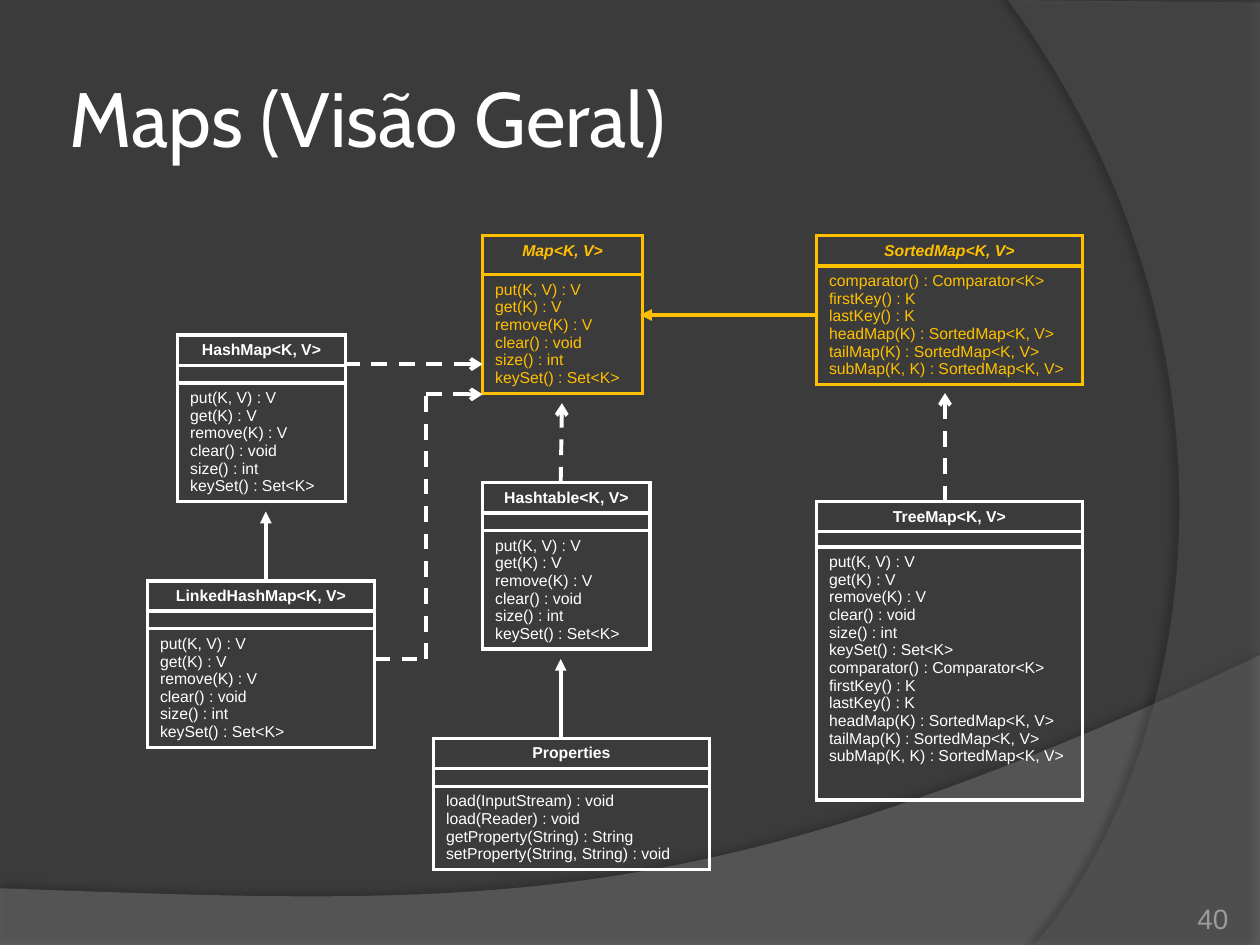
"""Builds the class diagram slide that gives an overview of Java maps."""
from dataclasses import dataclass

from lxml import etree
from pptx import Presentation
from pptx.dml.color import RGBColor
from pptx.enum.dml import MSO_LINE
from pptx.enum.shapes import MSO_CONNECTOR
from pptx.enum.text import MSO_ANCHOR, MSO_AUTO_SIZE, PP_ALIGN
from pptx.oxml.ns import qn
from pptx.util import Inches, Pt

DASH = MSO_LINE.DASH
STRAIGHT = MSO_CONNECTOR.STRAIGHT
MIDDLE, BOTTOM = MSO_ANCHOR.MIDDLE, MSO_ANCHOR.BOTTOM
LEFT, CENTER, RIGHT = PP_ALIGN.LEFT, PP_ALIGN.CENTER, PP_ALIGN.RIGHT
NO_AUTOFIT = MSO_AUTO_SIZE.NONE


@dataclass(frozen=True)
class Theme:
    """Colours, fonts and sizes of the slide."""
    background: str = "3B3B3B"
    wave: str = "7F7F7F"
    arc: str = "5E5E5E"
    shadow: str = "000000"
    text: str = "FFFFFF"
    accent: str = "FFC000"
    muted: str = "9D9B9A"
    title_font: str = "Cabin"
    body_font: str = "Arial"
    title_size: float = 44
    number_size: float = 16
    class_size: float = 9
    line_width: float = 2.25


def add_element(parent, tag, **attributes):
    """Append a drawing element with the given attributes."""
    values = {name: str(value) for name, value in attributes.items()}
    return etree.SubElement(parent, qn(tag), values)


def curve_points(start, first, second, end, steps=60):
    """Return points along a cubic curve."""
    points = []
    for step in range(steps + 1):
        t = step / steps
        weights = ((1 - t) ** 3, 3 * t * (1 - t) ** 2, 3 * t * t * (1 - t), t ** 3)
        points.append(tuple(
            sum(weight * point[axis] for weight, point in zip(weights, (start, first, second, end)))
            for axis in (0, 1)))
    return points


class DiagramSlide:
    """Draws styled elements on one slide."""

    def __init__(self, presentation, theme):
        self.theme = theme
        self.slide = presentation.slides.add_slide(presentation.slide_layouts[5])
        self.shapes = self.slide.shapes
        fill = self.slide.background.fill
        fill.solid()
        fill.fore_color.rgb = RGBColor.from_string(theme.background)

    def add_text(self, paragraph, text, color, alignment=LEFT, **formats):
        """Put one formatted run in a paragraph."""
        paragraph.alignment = alignment
        run = paragraph.add_run()
        run.text = text
        run.font.color.rgb = RGBColor.from_string(color)
        for name, value in formats.items():
            setattr(run.font, name, value)

    def frame(self, shape, anchor, margin):
        """Set up the text frame of a shape and return its first paragraph."""
        settings = {"word_wrap": True, "auto_size": NO_AUTOFIT, "vertical_anchor": anchor}
        for side in ("left", "top", "right", "bottom"):
            settings[f"margin_{side}"] = Inches(margin)
        for name, value in settings.items():
            setattr(shape.text_frame, name, value)
        return shape.text_frame.paragraphs[0]

    def backdrop(self, points, color, opacity, shadow_opacity, distance, direction):
        """Draw a translucent area with a soft shadow."""
        corners = [(Inches(x), Inches(y)) for x, y in points]
        builder = self.shapes.build_freeform(*corners[0])
        builder.add_line_segments(corners[1:], close=True)
        shape = builder.convert_to_shape()
        shape.fill.solid()
        shape.fill.fore_color.rgb = RGBColor.from_string(color)
        shape.line.fill.background()
        properties = shape._element.spPr
        solid_color = properties.find(qn("a:solidFill"))[0]
        add_element(solid_color, "a:alpha", val=opacity * 1000)
        effects = add_element(properties, "a:effectLst")
        shadow = add_element(effects, "a:outerShdw", blurRad=Pt(4), dist=Pt(distance),
                             dir=direction * 60000, algn="ctr", rotWithShape=0)
        shadow_color = add_element(shadow, "a:srgbClr", val=self.theme.shadow)
        add_element(shadow_color, "a:alpha", val=shadow_opacity * 1000)

    def title(self, text, left, top, width, height):
        """Fill the title placeholder and bring it in front of the backdrop."""
        title = self.shapes.title
        bounds = {"left": left, "top": top, "width": width, "height": height}
        for name, value in bounds.items():
            setattr(title, name, Inches(value))
        self.add_text(self.frame(title, MIDDLE, 0.05), text, self.theme.text,
                      name=self.theme.title_font, size=Pt(self.theme.title_size))
        self.shapes._spTree.append(title._element)

    def page_number(self, text, *bounds):
        """Add the page number."""
        box = self.shapes.add_textbox(*map(Inches, bounds))
        self.add_text(self.frame(box, BOTTOM, 0), text, self.theme.muted, RIGHT,
                      name=self.theme.body_font, size=Pt(self.theme.number_size))

    def borders(self, cell, color):
        """Outline a table cell on all four sides."""
        properties = cell._tc.get_or_add_tcPr()
        for side in ("L", "R", "T", "B"):
            line = add_element(properties, f"a:ln{side}", w=Pt(self.theme.line_width))
            add_element(add_element(line, "a:solidFill"), "a:srgbClr", val=color)
        cell.fill.background()

    def class_box(self, name, methods, left, top, width, heights, interface=False):
        """Draw a class as a table of name, fields and methods."""
        color = self.theme.accent if interface else self.theme.text
        graphic = self.shapes.add_table(len(heights), 1, Inches(left), Inches(top),
                                        Inches(width), Inches(sum(heights)))
        table = graphic.table
        table.first_row = table.horz_banding = False
        formats = {"name": self.theme.body_font, "size": Pt(self.theme.class_size)}
        last = len(heights) - 1
        for index, height in enumerate(heights):
            table.rows[index].height = Inches(height)
            cell = table.cell(index, 0)
            self.borders(cell, color)
            paragraph = cell.text_frame.paragraphs[0]
            if index == 0:
                self.add_text(paragraph, name, color, CENTER, bold=True, italic=interface,
                              **formats)
            elif index < last:
                add_element(paragraph._p, "a:endParaRPr", sz=100)
            else:
                for number, method in enumerate(methods):
                    line = cell.text_frame.add_paragraph() if number else paragraph
                    self.add_text(line, method, color, bold=False, italic=False, **formats)

    def relation(self, start, end, head=None, dashed=False, color=None):
        """Draw a line between classes, with an arrowhead at its end."""
        connector = self.shapes.add_connector(STRAIGHT, *map(Inches, start + end))
        connector.line.color.rgb = RGBColor.from_string(color or self.theme.text)
        connector.line.width = Pt(self.theme.line_width)
        if dashed:
            connector.line.dash_style = DASH
        if head:
            add_element(connector.line._get_or_add_ln(), "a:tailEnd", type=head)
        add_element(connector._element.spPr, "a:effectLst")


def main():
    """Build and save the slide."""
    presentation = Presentation()
    presentation.slide_width, presentation.slide_height = Inches(10), Inches(7.5)
    theme = Theme()
    diagram = DiagramSlide(presentation, theme)

    wave = [(0, 7.51), (10, 7.51)] + curve_points((10, 5.2), (5.59, 7.29), (3.91, 7.19), (0, 7.05))
    arc = [(10, 0.02), (10, 7.5)] + curve_points((8.21, 7.5), (9.35, 6.19), (10.18, 3), (8, 0))
    diagram.backdrop(wave, theme.wave, 45, 35, 3.5, 270)
    diagram.backdrop(arc, theme.arc, 40, 45, 4, 180)
    diagram.title("Maps (Visão Geral)", 0.5, 0.3, 8.17, 1.25)
    diagram.page_number("40", 8.92, 7.02, 0.83, 0.4)

    map_methods = ["put(K, V) : V", "get(K) : V", "remove(K) : V", "clear() : void",
                   "size() : int", "keySet() : Set<K>"]
    sorted_methods = ["comparator() : Comparator<K>", "firstKey() : K", "lastKey() : K",
                      "headMap(K) : SortedMap<K, V>", "tailMap(K) : SortedMap<K, V>",
                      "subMap(K, K) : SortedMap<K, V>"]
    property_methods = ["load(InputStream) : void", "load(Reader) : void",
                        "getProperty(String) : String", "setProperty(String, String) : void"]
    class_rows = (0.24, 0.14, 0.94)
    diagram.class_box("Map<K, V>", map_methods, 3.83, 1.87, 1.27, (0.31, 0.94), True)
    diagram.class_box("SortedMap<K, V>", sorted_methods, 6.48, 1.87, 2.11, (0.24, 0.94), True)
    diagram.class_box("HashMap<K, V>", map_methods, 1.41, 2.66, 1.33, class_rows)
    diagram.class_box("LinkedHashMap<K, V>", map_methods, 1.17, 4.61, 1.8, class_rows)
    diagram.class_box("Hashtable<K, V>", map_methods, 3.83, 3.83, 1.33, class_rows)
    diagram.class_box("TreeMap<K, V>", map_methods + sorted_methods, 6.48, 3.98, 2.11,
                      (0.24, 0.12, 2.01))
    diagram.class_box("Properties", property_methods, 3.44, 5.86, 2.19, (0.24, 0.14, 0.66))

    diagram.relation((6.48, 2.5), (5.08, 2.5), "triangle", color=theme.accent)
    for start, end, head in (
            ((2.73, 2.89), (3.83, 2.89), "arrow"),
            ((3.38, 3.13), (3.83, 3.13), "arrow"),
            ((3.38, 5.23), (3.38, 3.13), None),
            ((2.97, 5.23), (3.37, 5.23), None),
            ((4.45, 3.83), (4.46, 3.2), "arrow"),
            ((7.5, 3.98), (7.5, 3.12), "arrow")):
        diagram.relation(start, end, head, dashed=True)
    diagram.relation((4.45, 5.86), (4.45, 5.23), "triangle")
    diagram.relation((2.11, 4.61), (2.11, 4.06), "triangle")
    presentation.save("out.pptx")


if __name__ == "__main__":
    main()
